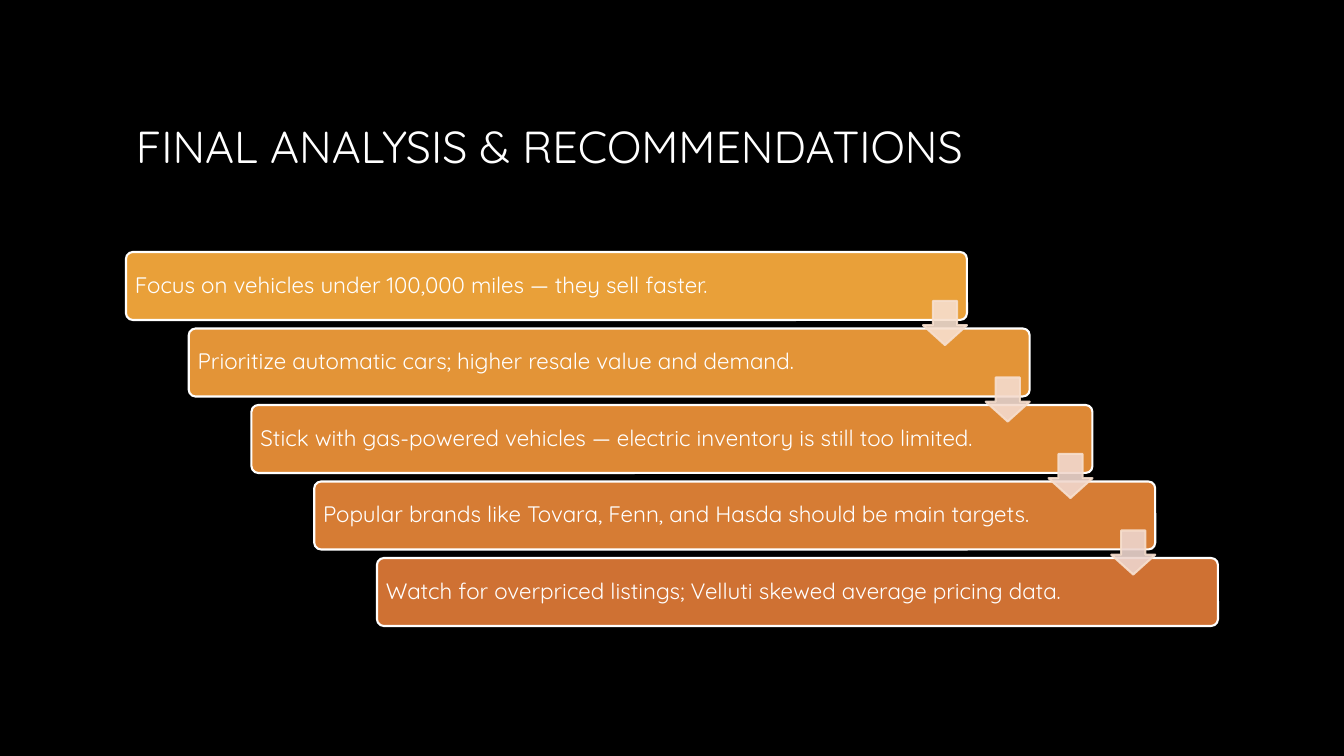
from lxml.etree import SubElement
from pptx import Presentation
from pptx.dml.color import RGBColor as RGB
from pptx.enum.shapes import MSO_SHAPE as Shape
from pptx.enum.text import MSO_ANCHOR as Anchor, PP_ALIGN as Align
from pptx.oxml.ns import qn
from pptx.util import Pt

PX = 12192000 / 1344
FONT = "Quicksand"
BLACK = RGB(0x00, 0x00, 0x00)
WHITE = RGB(0xFF, 0xFF, 0xFF)
GREY = RGB(0xA6, 0xA6, 0xA6)
PEACH = RGB(0xF7, 0xDF, 0xCE)

# Each step: text, bar colour, colour of the arrow to the next step
STEPS = [
    ("Focus on vehicles under 100,000 miles — they sell faster.",
     RGB(0xE9, 0xA0, 0x39), PEACH),
    ("Prioritize automatic cars; higher resale value and demand.",
     RGB(0xE3, 0x94, 0x37), RGB(0xF4, 0xDB, 0xCE)),
    ("Stick with gas-powered vehicles — electric inventory is still too limited.",
     RGB(0xDD, 0x88, 0x35), RGB(0xF1, 0xD8, 0xCE)),
    ("Popular brands like Tovara, Fenn, and Hasda should be main targets.",
     RGB(0xD6, 0x7C, 0x34), RGB(0xED, 0xD5, 0xCE)),
    ("Watch for overpriced listings; Velluti skewed average pricing data.",
     RGB(0xCF, 0x71, 0x33), None),
]


def px(*vals):
    return [round(v * PX) for v in vals]


def write(shape, text, size, inset):
    """Put one left-aligned, middle-anchored line in a shape."""
    frame = shape.text_frame
    side, edge = px(*inset)
    form = {"word_wrap": True, "vertical_anchor": Anchor.MIDDLE,
            "margin_left": side, "margin_right": side,
            "margin_top": edge, "margin_bottom": edge}
    for name, val in form.items():
        setattr(frame, name, val)
    para = frame.paragraphs[0]
    para.alignment = Align.LEFT
    para.line_spacing = 0.9
    run = para.add_run()
    run.text = text
    run.font.name = FONT
    run.font.size = Pt(size)
    return run.font


def block(slide, kind, box, fill, line, adjust):
    """Draw a flat outlined preset shape."""
    shape = slide.shapes.add_shape(kind, *px(*box))
    shape.shadow.inherit = False
    shape.fill.solid()
    shape.fill.fore_color.rgb = fill
    shape.line.color.rgb = line
    shape.line.width = Pt(1.5)
    for i, val in enumerate(adjust):
        shape.adjustments[i] = val
    return shape


def fade(shape, share):
    """Set the opacity of fill and line, in percent."""
    for tint in shape._element.spPr.iter(qn("a:srgbClr")):
        SubElement(tint, qn("a:alpha")).set("val", str(share * 1000))


def title(slide, box, text):
    font = write(slide.shapes.add_textbox(*px(*box)), text, 32, (10, 5))
    font.fill.gradient()
    font.fill.gradient_angle = 267
    for stop, tint in zip(font.fill.gradient_stops, (WHITE, GREY)):
        stop.color.rgb = tint


def stairs(slide, box, steps):
    """Bars stepping down to the right, joined by arrows."""
    left, top, wide, high = box
    bar_w, bar_h, head = 841, 68, 44
    gaps = len(steps) - 1
    spots = [(left + (wide - bar_w) * i / gaps, top + (high - bar_h) * i / gaps)
             for i in range(len(steps))]
    # Bars
    for (x, y), (text, fill, _) in zip(spots, steps):
        bar = block(slide, Shape.ROUNDED_RECTANGLE, (x, y, bar_w, bar_h),
                    fill, WHITE, [0.1])
        write(bar, text, 16, (7, 7)).color.rgb = WHITE
    # Arrows, flush with the right end of each bar but the last
    for (x, y), (_, _, tint) in zip(spots[:-1], steps):
        arrow = block(slide, Shape.DOWN_ARROW,
                      (x + bar_w - head, y + 49, head, head),
                      tint, PEACH, [0.45, 0.55])
        arrow.adjustments[0], arrow.adjustments[1] = 0.55, 0.45
        fade(arrow, 90)


def main():
    deck = Presentation()
    deck.slide_width, deck.slide_height = px(1344, 756)
    slide = deck.slides.add_slide(deck.slide_layouts[6])
    slide.background.fill.solid()
    slide.background.fill.fore_color.rgb = BLACK
    title(slide, (126, 68, 1092, 162), "FINAL ANALYSIS & RECOMMENDATIONS")
    stairs(slide, (126, 252, 1092, 374), STEPS)
    deck.save("out.pptx")


if __name__ == "__main__":
    main()
